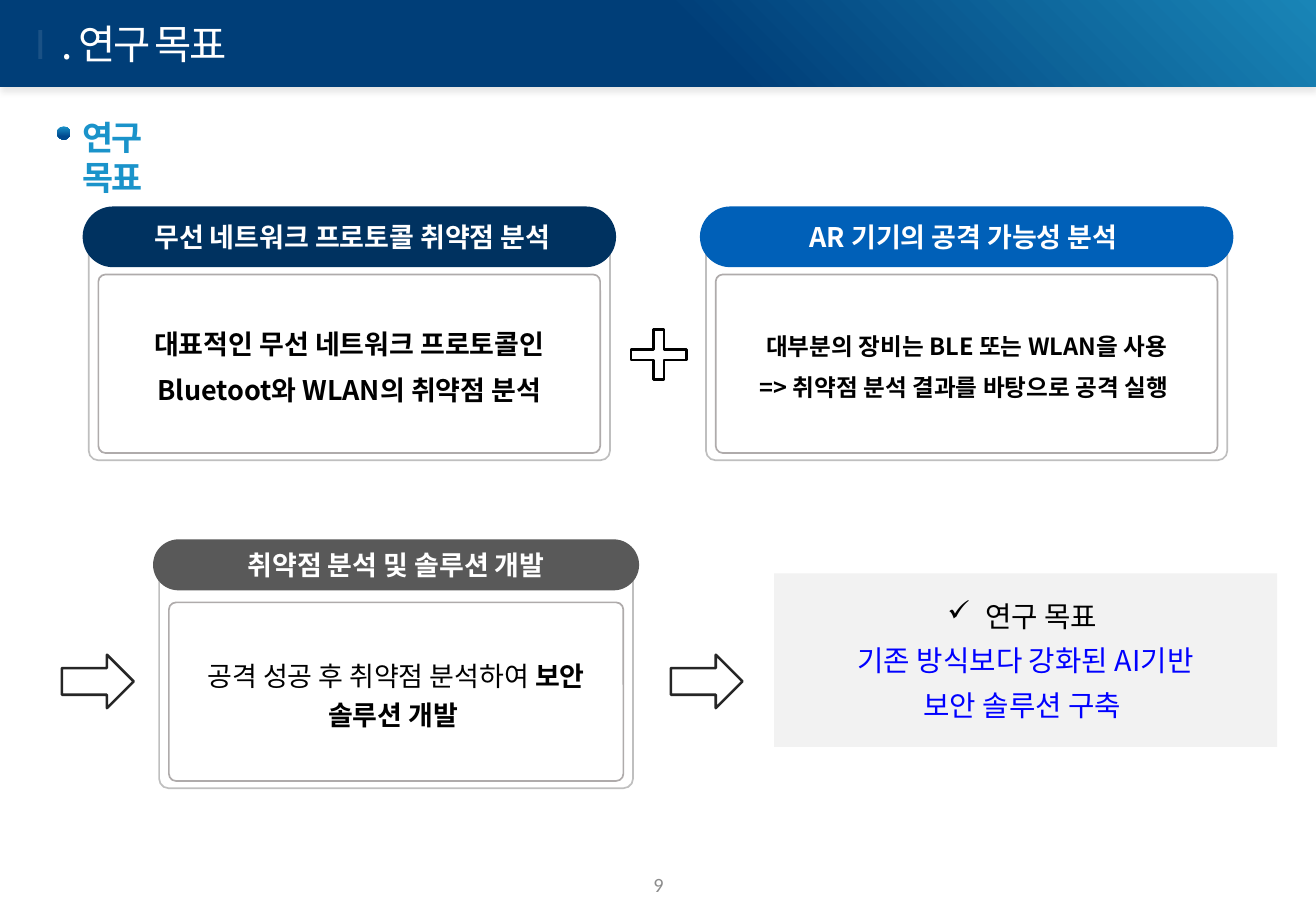
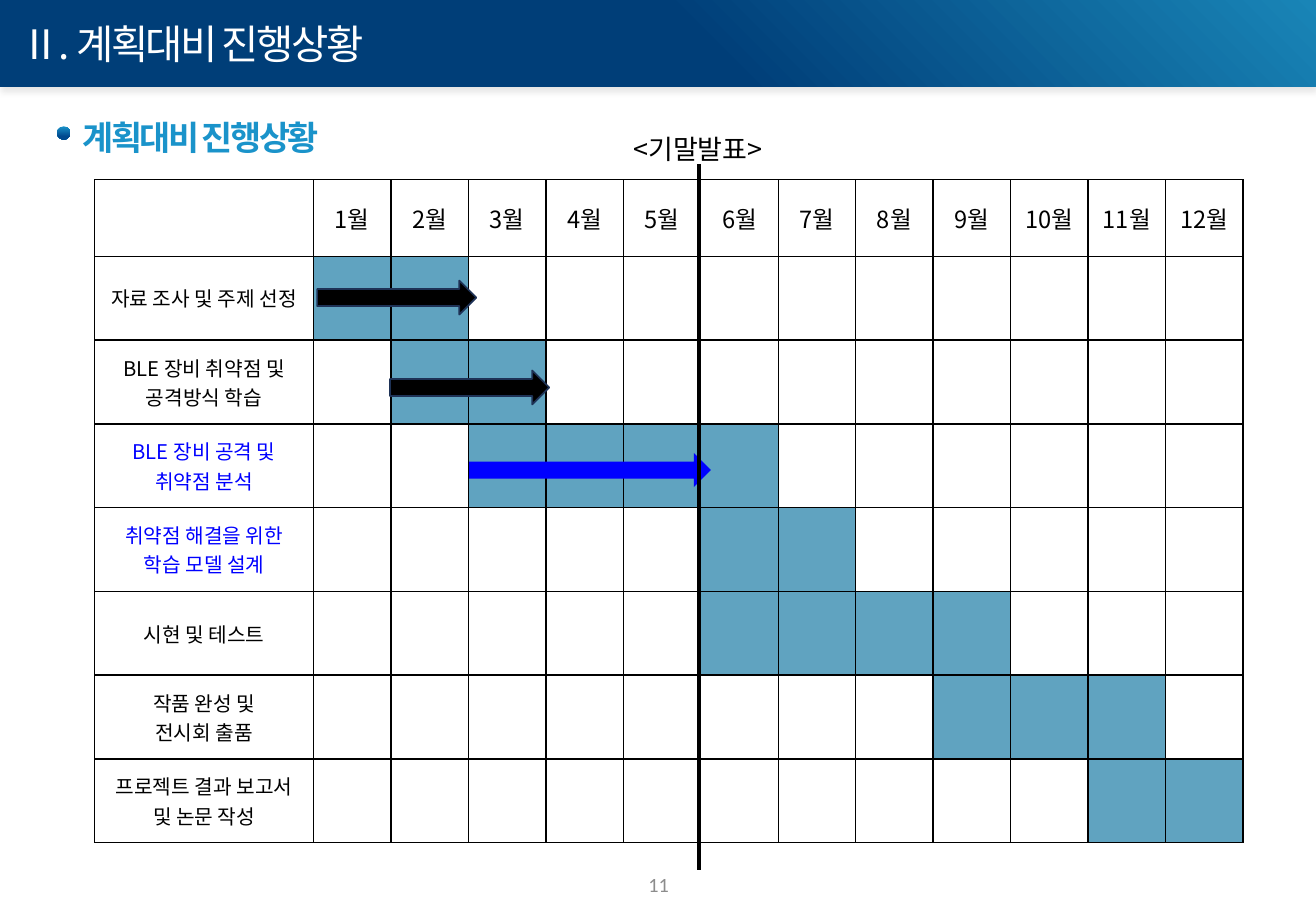
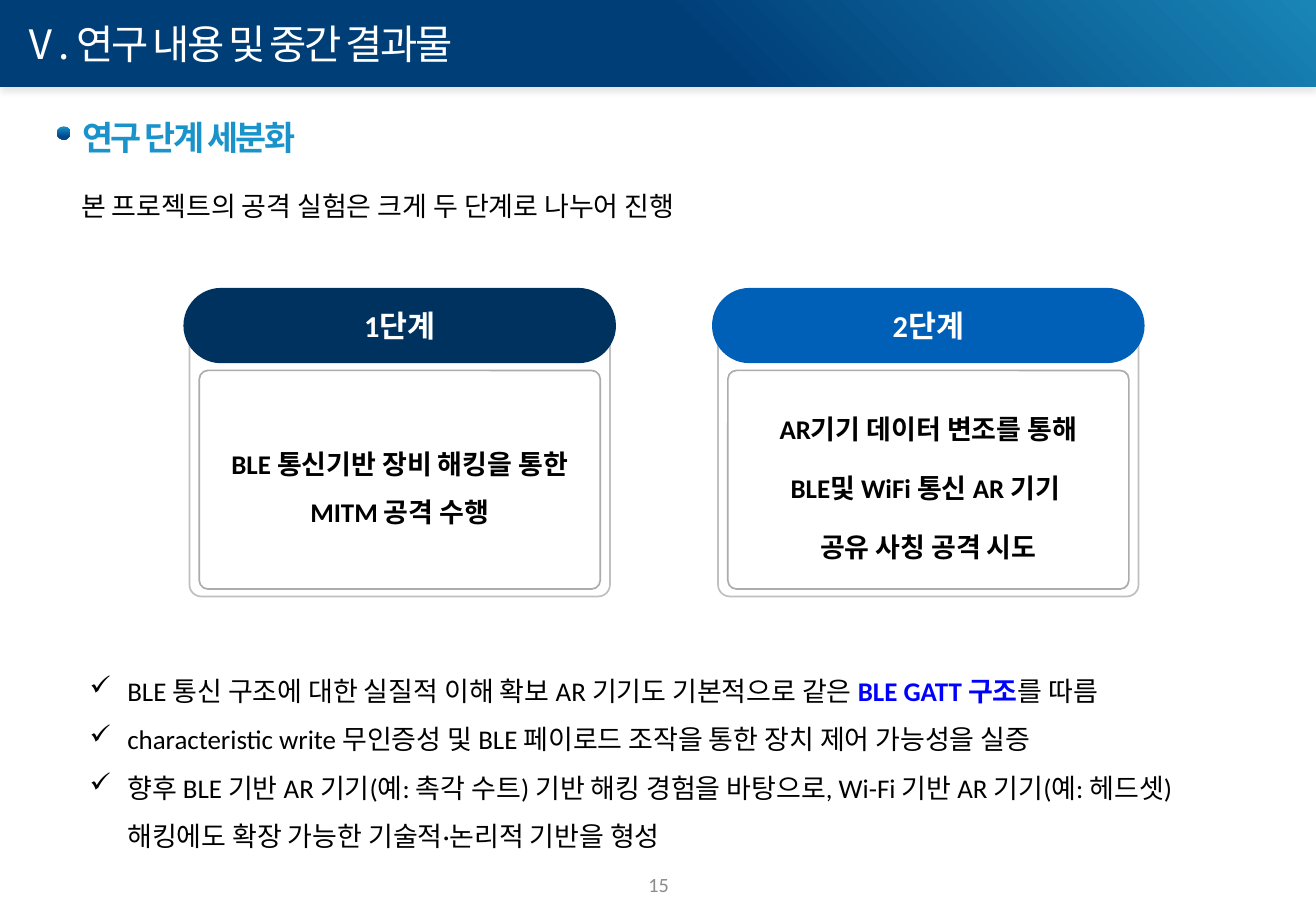
import dataclasses
import typing

import lxml.etree
import pptx
import pptx.dml.color
import pptx.dml.fill
import pptx.enum.shapes
import pptx.enum.text
import pptx.oxml
import pptx.oxml.ns
import pptx.shapes.autoshape
import pptx.slide
import pptx.table
import pptx.text.text
import pptx.util

Inches = pptx.util.Inches
Pt = pptx.util.Pt
qn = pptx.oxml.ns.qn
SHAPE = pptx.enum.shapes.MSO_SHAPE
ALIGN = pptx.enum.text.PP_ALIGN
ANCHOR = pptx.enum.text.MSO_ANCHOR


# Theme and text model
@dataclasses.dataclass(frozen=True)
class Theme:
    korean: str = "Noto Sans CJK KR"
    latin: str = "Calibri"
    black: str = "000000"
    white: str = "FFFFFF"
    blue: str = "0000FF"
    navy: str = "003260"
    azure: str = "0060B8"
    slate: str = "595959"
    pale: str = "F2F2F2"
    frame_line: str = "BFBFBF"
    body_line: str = "AFABAB"
    arrow_line: str = "262626"
    done_line: str = "1E3256"
    planned: str = "60A3C0"
    page_grey: str = "8C8C8C"
    band: tuple = (("1985B7", 0), ("003E78", 0.47))
    accent: tuple = (("1A93CA", 0), ("00498E", 0.76))
    title_size: float = 24
    heading_size: float = 20
    stage_size: float = 18
    goal_size: float = 17
    text_size: float = 16
    small_size: float = 14
    label_size: float = 12
    tight: float = -1.5


THEME = Theme()


class Box(typing.NamedTuple):
    left: float
    top: float
    width: float
    height: float


@dataclasses.dataclass(frozen=True)
class Span:
    text: str
    size: float = THEME.text_size
    color: str | tuple = THEME.black
    bold: bool = False
    font: str = THEME.korean
    tracking: float = 0
    opacity: int = 100


@dataclasses.dataclass(frozen=True)
class Para:
    spans: tuple[Span, ...]
    align: typing.Any = ALIGN.CENTER
    line: float = 1.0
    before: float = 0
    after: float = 0
    bullet: str = ""


@dataclasses.dataclass(frozen=True)
class Card:
    frame: Box
    heading: Span
    color: str
    paras: tuple[Para, ...]
    pill_height: float
    pill_rise: float
    body_drop: float = 0.43


class Task(typing.NamedTuple):
    lines: tuple[str, ...]
    first_month: int
    last_month: int
    color: str = THEME.black


# Drawing helpers
def rgb(color: str) -> pptx.dml.color.RGBColor:
    return pptx.dml.color.RGBColor.from_string(color)


def paint(fill: pptx.dml.fill.FillFormat, color: str | tuple, angle: float = 270) -> None:
    if isinstance(color, str):
        fill.solid()
        fill.fore_color.rgb = rgb(color)
        return
    fill.gradient()
    fill.gradient_angle = angle
    for stop, (shade, position) in zip(fill.gradient_stops, color):
        stop.color.rgb = rgb(shade)
        stop.position = position


def add_span(para: pptx.text.text._Paragraph, span: Span) -> None:
    run = para.add_run()
    run.text = span.text
    run.font.size = Pt(span.size)
    run.font.bold = span.bold
    run.font.name = span.font
    paint(run.font.fill, span.color)
    properties = run.font._element
    east_asian = lxml.etree.Element(qn("a:ea"), typeface=THEME.korean)
    properties.find(qn("a:latin")).addnext(east_asian)
    if span.tracking:
        properties.set("spc", str(round(span.tracking * 100)))
    if span.opacity < 100:
        shade = properties.find(qn("a:solidFill"))[0]
        lxml.etree.SubElement(shade, qn("a:alpha"), val=str(span.opacity * 1000))


def write(frame: pptx.text.text.TextFrame, paras: typing.Sequence[Para]) -> None:
    for index, item in enumerate(paras):
        para = frame.add_paragraph() if index else frame.paragraphs[0]
        para.alignment = item.align
        para.line_spacing = item.line
        para.space_before = Pt(item.before if index else 0)
        para.space_after = Pt(item.after)
        if item.bullet:
            properties = para._p.get_or_add_pPr()
            properties.set("marL", str(Inches(0.31)))
            properties.set("indent", str(-Inches(0.31)))
            lxml.etree.SubElement(properties, qn("a:buChar"), char=item.bullet)
        for span in item.spans:
            add_span(para, span)


def add_text(page: pptx.slide.Slide, box: Box, paras: typing.Sequence[Para],
             anchor: typing.Any = ANCHOR.TOP) -> None:
    frame = page.shapes.add_textbox(*map(Inches, box)).text_frame
    frame.word_wrap = True
    frame.vertical_anchor = anchor
    write(frame, paras)


def add_shape(page: pptx.slide.Slide, kind: typing.Any, box: Box, color: str | tuple,
              line: str = "", line_width: float = 1, corner: float | None = None,
              paras: typing.Sequence[Para] = (),
              angle: float = 270) -> pptx.shapes.autoshape.Shape:
    shape = page.shapes.add_shape(kind, *map(Inches, box))
    shape.shadow.inherit = False
    paint(shape.fill, color, angle)
    if line:
        shape.line.color.rgb = rgb(line)
        shape.line.width = Pt(line_width)
    else:
        shape.line.fill.background()
    if corner is not None:
        shape.adjustments[0] = corner
    if paras:
        shape.text_frame.word_wrap = True
        shape.text_frame.vertical_anchor = ANCHOR.MIDDLE
        write(shape.text_frame, paras)
    return shape


def add_card(page: pptx.slide.Slide, card: Card) -> None:
    left, top, width, height = card.frame
    overhang, side = 0.05, 0.08
    pill = Box(left - overhang, top - card.pill_rise, width + 2 * overhang, card.pill_height)
    body = Box(left + side, top + card.body_drop, width - 2 * side,
               height - card.body_drop - 0.06)
    add_shape(page, SHAPE.ROUNDED_RECTANGLE, card.frame, THEME.white,
              THEME.frame_line, corner=0.04)
    add_shape(page, SHAPE.ROUNDED_RECTANGLE, body, THEME.white,
              THEME.body_line, corner=0.04, paras=card.paras)
    add_shape(page, SHAPE.ROUNDED_RECTANGLE, pill, card.color, corner=0.5,
              paras=[Para((card.heading,))])


# Shared parts: header band, title, heading, page number
def add_band_to_layout(layout: pptx.slide.SlideLayout, page: pptx.slide.Slide) -> None:
    band = add_shape(page, SHAPE.RECTANGLE, Box(0, 0, 10.83, 0.71), THEME.band, angle=225)
    effects = band.element.spPr.find(qn("a:effectLst"))
    shadow = lxml.etree.SubElement(effects, qn("a:outerShdw"), blurRad=str(Pt(4)),
                                   dist=str(Pt(3)), dir="5400000")
    shade = lxml.etree.SubElement(shadow, qn("a:srgbClr"), val=THEME.black)
    lxml.etree.SubElement(shade, qn("a:alpha"), val="10000")
    layout.element.cSld.spTree.insert(2, band.element)


def title_span(text: str, tracking: float = THEME.tight, opacity: int = 100) -> Span:
    return Span(text, THEME.title_size, THEME.white, tracking=tracking, opacity=opacity)


def start_page(deck: typing.Any, title: tuple[Span, ...], title_width: float,
               heading: str, heading_width: float, number: int) -> pptx.slide.Slide:
    layout = deck.slide_layouts[5]
    page = deck.slides.add_slide(layout)
    if len(deck.slides) == 1:
        add_band_to_layout(layout, page)
    holder = page.shapes.title
    holder.left, holder.top = Inches(0.07), Inches(0.11)
    holder.width, holder.height = Inches(title_width), Inches(0.5)
    holder.text_frame.auto_size = pptx.enum.text.MSO_AUTO_SIZE.NONE
    holder.text_frame.word_wrap = True
    holder.text_frame.vertical_anchor = ANCHOR.TOP
    write(holder.text_frame, [Para(title, ALIGN.LEFT)])
    span = Span(heading, THEME.heading_size, THEME.accent, True, tracking=THEME.tight)
    add_text(page, Box(0.58, 0.91, heading_width, 0.44), [Para((span,), ALIGN.LEFT)])
    add_shape(page, SHAPE.OVAL, Box(0.47, 1.04, 0.11, 0.11), THEME.accent)
    page_number = Span(str(number), THEME.label_size, THEME.page_grey, font=THEME.latin)
    add_text(page, Box(4.2, 7.08, 2.44, 0.4), [Para((page_number,))], ANCHOR.MIDDLE)
    return page


# Research goal
def goal_para(*spans: Span) -> Para:
    return Para(spans, line=1.2, after=4)


def build_goal(deck: typing.Any) -> None:
    title = (title_span("Ⅰ", -0.7, 10), title_span(". 연구 목표"))
    page = start_page(deck, title, 3.84, "연구 목표", 1.19, 9)
    small = THEME.small_size

    def heading(text: str) -> Span:
        return Span(text, color=THEME.white, bold=True)

    cards = (
        Card(Box(0.73, 1.83, 4.29, 1.96), heading(" 무선 네트워크 프로토콜 취약점 분석"), THEME.navy,
             (goal_para(Span("대표적인 무선 네트워크 프로토콜인", bold=True)),
              goal_para(Span("Bluetoot와 WLAN의 취약점 분석", bold=True))), 0.5, 0.13),
        Card(Box(5.81, 1.83, 4.29, 1.96), heading("AR 기기의 공격 가능성 분석 "), THEME.azure,
             (goal_para(Span("대부분의 장비는 BLE 또는 WLAN을 사용", small, bold=True)),
              goal_para(Span("=> 취약점 분석 결과를 바탕으로 공격 실행 ", small, bold=True))), 0.5, 0.13),
        Card(Box(1.31, 4.53, 3.9, 1.96), heading("취약점 분석 및 솔루션 개발"), THEME.slate,
             (goal_para(Span("공격 성공 후 취약점 분석하여 "),
                        Span("보안 솔루션 개발 ", bold=True)),), 0.42, 0.09),
    )
    for card in cards:
        add_card(page, card)

    # Plus sign, arrows and resulting goal
    add_shape(page, SHAPE.MATH_PLUS, Box(5.11, 2.64, 0.62, 0.56), THEME.white,
              THEME.black, 1.5, 0.153)
    for left in (0.51, 5.52):
        add_shape(page, SHAPE.RIGHT_ARROW, Box(left, 5.39, 0.59, 0.44), THEME.white,
                  THEME.arrow_line, 1.5)
    size = THEME.goal_size
    add_shape(page, SHAPE.RECTANGLE, Box(6.37, 4.72, 4.14, 1.43), THEME.pale, paras=(
        Para((Span("연구 목표 ", size),), bullet="✓"),
        Para((Span("기존 방식보다 강화된 AI기반", size, THEME.blue),), before=6),
        Para((Span("보안 솔루션 구축 ", size, THEME.blue),), before=6),
    ))


# Schedule
TASKS = (
    Task(("자료 조사 및 주제 선정",), 1, 2),
    Task(("BLE 장비 취약점 및", "공격방식 학습"), 2, 3),
    Task(("BLE 장비 공격 및", "취약점 분석"), 3, 6, THEME.blue),
    Task(("취약점 해결을 위한", "학습 모델 설계"), 6, 7, THEME.blue),
    Task(("시현 및 테스트",), 6, 9),
    Task(("작품 완성 및", "전시회 출품"), 9, 11),
    Task(("프로젝트 결과 보고서 및 논문 작성",), 11, 12),
)


def style_cell(cell: pptx.table._Cell, planned: bool) -> None:
    properties = cell._tc.get_or_add_tcPr()
    for side in ("a:lnL", "a:lnR", "a:lnT", "a:lnB"):
        border = lxml.etree.SubElement(properties, qn(side), w=str(Pt(1)))
        fill = lxml.etree.SubElement(border, qn("a:solidFill"))
        lxml.etree.SubElement(fill, qn("a:srgbClr"), val=THEME.black)
    cell.vertical_anchor = ANCHOR.MIDDLE
    if planned:
        paint(cell.fill, THEME.planned)
    else:
        cell.fill.background()


def add_schedule(page: pptx.slide.Slide) -> None:
    box = Box(0.78, 1.48, 9.45, 5.49)
    table = page.shapes.add_table(len(TASKS) + 1, 13, *map(Inches, box)).table
    table.first_row = table.horz_banding = False
    for index, column in enumerate(table.columns):
        column.width = Inches(0.6375 if index else 1.8)
    for index, row in enumerate(table.rows):
        row.height = Inches(0.69 if index else 0.63)
    for month in range(13):
        cell = table.cell(0, month)
        style_cell(cell, False)
        if month:
            write(cell.text_frame, [Para((Span(f"{month}월", THEME.small_size),))])
    for index, task in enumerate(TASKS, 1):
        for month in range(13):
            style_cell(table.cell(index, month), task.first_month <= month <= task.last_month)
        write(table.cell(index, 0).text_frame,
              [Para((Span(line, THEME.label_size, task.color),)) for line in task.lines])


def build_schedule(deck: typing.Any) -> None:
    page = start_page(deck, (title_span("Ⅱ. 계획대비 진행상황"),), 3.84,
                      "계획대비 진행상황", 2.18, 11)
    add_schedule(page)

    # Progress arrows
    for left, top, width, color, line in (
        (2.61, 2.31, 1.31, THEME.black, THEME.done_line),
        (3.21, 3.05, 1.31, THEME.black, THEME.done_line),
        (3.86, 3.73, 1.99, THEME.blue, ""),
    ):
        add_shape(page, SHAPE.RIGHT_ARROW, Box(left, top, width, 0.28), color, line)

    # Marker of the final presentation
    marker = page.shapes.add_connector(pptx.enum.shapes.MSO_CONNECTOR.STRAIGHT,
                                       *map(Inches, (5.75, 1.35, 5.75, 7.16)))
    marker.line.color.rgb = rgb(THEME.black)
    marker.line.width = Pt(2.5)
    lxml.etree.SubElement(marker.element.spPr, qn("a:effectLst"))
    add_text(page, Box(4.96, 0.91, 1.57, 0.47), [Para((Span("<기말발표>"),), line=1.5)])


# Research stages
def build_stages(deck: typing.Any) -> None:
    page = start_page(deck, (title_span("Ⅴ. 연구 내용 및 중간 결과물"),), 5.42,
                      "연구 단계 세분화", 2.0, 15)
    add_text(page, Box(0.57, 1.38, 9.7, 0.45),
             [Para((Span("본 프로젝트의 공격 실험은 크게 두 단계로 나누어 진행"),), ALIGN.LEFT, 1.5)])
    stages = (
        (1.56, "1단계", THEME.navy, 0, ("BLE 통신기반 장비 해킹을 통한", "MITM 공격 수행")),
        (5.91, "2단계", THEME.azure, 6,
         ("AR기기 데이터 변조를 통해", "BLE및 WiFi 통신 AR 기기 ", "공유 사칭 공격 시도")),
    )
    for left, name, color, before, lines in stages:
        heading = Span(name, THEME.stage_size, THEME.white, True, THEME.latin)
        paras = tuple(Para((Span(line, bold=True, font=THEME.latin),), line=1.5, before=before)
                      for line in lines)
        add_card(page, Card(Box(left, 2.52, 3.46, 2.39), heading, color, paras,
                            0.62, 0.15, 0.53))

    # Findings
    findings = (
        (Span("BLE 통신 구조에 대한 실질적 이해 확보 AR 기기도 기본적으로 같은 ", font=THEME.latin),
         Span("BLE GATT 구조", color=THEME.blue, bold=True, font=THEME.latin),
         Span("를 따름", font=THEME.latin)),
        (Span("characteristic write 무인증성 및 BLE 페이로드 조작을 통한 장치 제어 가능성을 실증",
              font=THEME.latin),),
        (Span("향후 BLE 기반 AR 기기(예: 촉각 수트) 기반 해킹 경험을 바탕으로, Wi-Fi 기반 AR 기기"
              "(예: 헤드셋) 해킹에도 확장 가능한 기술적·논리적 기반을 형성", font=THEME.latin),),
    )
    add_text(page, Box(0.64, 5.37, 9.7, 1.67),
             [Para(spans, ALIGN.LEFT, 1.5, bullet="✓") for spans in findings])


def main() -> None:
    deck = pptx.Presentation()
    deck.slide_width, deck.slide_height = Inches(10.83), Inches(7.5)
    build_goal(deck)
    build_schedule(deck)
    build_stages(deck)
    deck.save("out.pptx")


if __name__ == "__main__":
    main()
